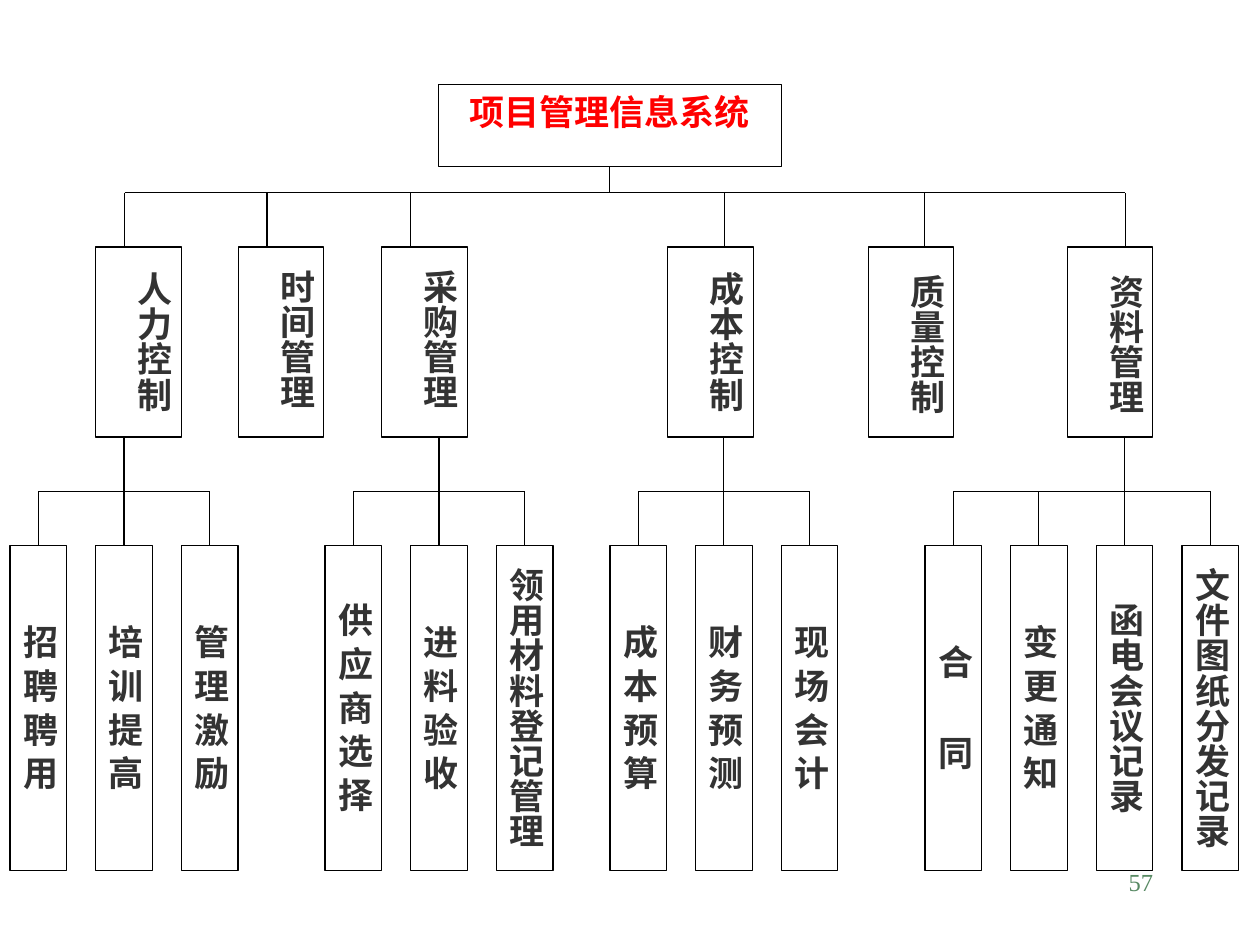
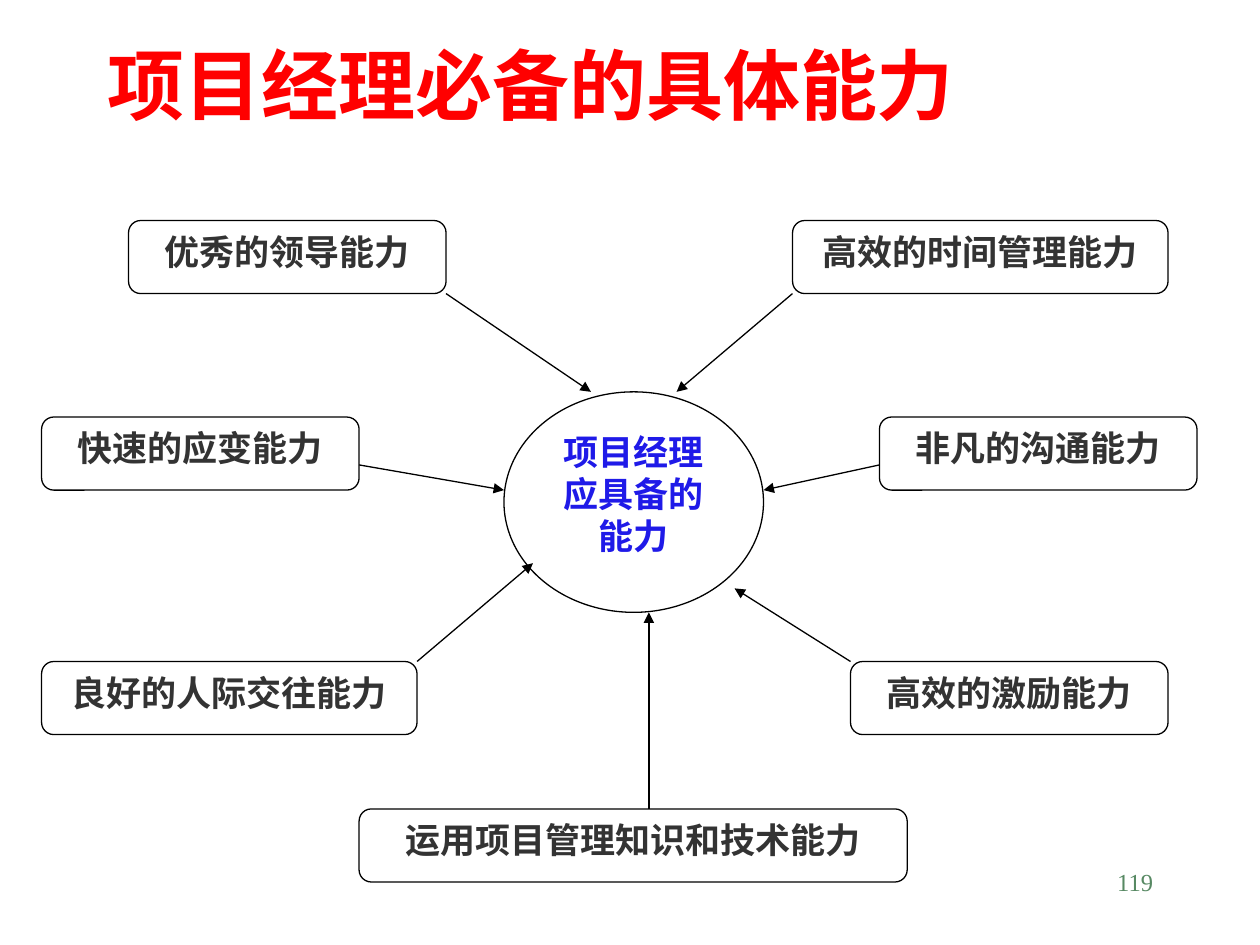
from lxml.etree import SubElement
from pptx import Presentation
from pptx.dml.color import RGBColor
from pptx.enum.shapes import MSO_CONNECTOR, MSO_SHAPE
from pptx.enum.text import MSO_ANCHOR, MSO_AUTO_SIZE, PP_ALIGN
from pptx.oxml.ns import qn
from pptx.util import Inches, Pt

# Shared look
LATIN, CJK = "Times New Roman", "Noto Sans CJK SC"
RED, BLUE, DARK, GREEN = "FF0000", "1F1AE8", "333333", "578963"
BLACK, WHITE = "000000", "FFFFFF"
TOP, BOTTOM = 0, 2
INSETS = (0.1, 0.05, 0.1, 0.05)
LABEL_SIZE, SPACE_SIZE, WIDE_GAP = 20, 5, 27

# Levels of the system chart
BUS_Y, BRANCH_Y, BRANCH_W, BRANCH_H = 1.53, 1.96, 0.68, 1.51
BRANCH_BOTTOM = BRANCH_Y + BRANCH_H
FORK_Y, LEAF_Y, LEAF_W, LEAF_H, LEAF_STEP = 3.9, 4.33, 0.45, 2.58, 0.68

# Name, left, line offset, text shift, first leaf's left, stem leaf, leaves
BRANCHES = [
    ("人力控制", 0.76, 0.23, 0, 0.08, 1,
     ["招 聘 聘 用", "培 训 提 高", "管 理 激 励"]),
    ("时间管理", 1.89, 0.23, -0.02, 0, 0, []),
    ("采购管理", 3.03, 0.23, -0.02, 2.58, 1,
     ["供 应 商 选 择", "进 料 验 收", "领用材料登记管理"]),
    ("成本控制", 5.3, 0.45, 0, 4.84, 1,
     ["成 本 预 算", "财 务 预 测", "现 场 会 计"]),
    ("质量控制", 6.89, 0.45, 0.02, 0, 0, []),
    ("资料管理", 8.47, 0.46, 0.02, 7.34, 2,
     ["合 同", "变 更 通 知", "函电会议记录", "文件图纸分发记录"]),
]

# Ability, left, top, width, arrow start, arrow end
ABILITIES = [
    ("优秀的领导能力", 1.02, 1.75, 2.52, (3.54, 2.33), (4.69, 3.11)),
    ("快速的应变能力", 0.33, 3.31, 2.52, (2.85, 3.69), (4, 3.89)),
    ("良好的人际交往能力", 0.33, 5.25, 2.98, (3.31, 5.25), (4.23, 4.47)),
    ("高效的时间管理能力", 6.29, 1.75, 2.98, (6.29, 2.33), (5.37, 3.11)),
    ("非凡的沟通能力", 6.98, 3.31, 2.52, (6.98, 3.69), (6.06, 3.89)),
    ("高效的激励能力", 6.75, 5.25, 2.52, (6.75, 5.25), (5.83, 4.67)),
    ("运用项目管理知识和技术能力", 2.85, 6.42, 4.35, (5.15, 6.42), (5.15, 4.86)),
]


def color(hex_string):
    return RGBColor.from_string(hex_string)


def add_run(paragraph, text, size, hex_string, bold=True, latin=LATIN):
    run = paragraph.add_run()
    run.text = text
    run.font.size = Pt(size)
    run.font.bold = bold
    run.font.color.rgb = color(hex_string)
    run.font.name = latin
    properties = run.font._element
    SubElement(properties, qn("a:ea")).set("typeface", CJK)
    return properties


def set_insets(frame, insets):
    frame.margin_left, frame.margin_top, frame.margin_right, frame.margin_bottom = (
        Inches(inset) for inset in insets)


def add_box(slide, kind, place, text, hex_string=DARK, insets=INSETS):
    box = slide.shapes.add_shape(kind, *(Inches(length) for length in place))
    box.shadow.inherit = False
    box.fill.solid()
    box.fill.fore_color.rgb = color(WHITE)
    box.line.color.rgb = color(BLACK)
    box.line.width = Pt(0.75)
    frame = box.text_frame
    frame.word_wrap = True
    frame.vertical_anchor = MSO_ANCHOR.TOP
    set_insets(frame, insets)
    paragraph = frame.paragraphs[0]
    paragraph.alignment = PP_ALIGN.CENTER
    paragraph.line_spacing = Pt(24)
    if text == "合 同":
        # Widen the gap between the two characters
        add_run(paragraph, "合", LABEL_SIZE, hex_string)
        add_run(paragraph, " ", LABEL_SIZE, hex_string).set("spc", str(WIDE_GAP * 100))
        add_run(paragraph, "同", LABEL_SIZE, hex_string)
    else:
        add_run(paragraph, text, LABEL_SIZE, hex_string)
    return box


def add_vertical_box(slide, place, text, shift=0):
    # Centre the column of characters by its length
    spaces = text.count(" ")
    points = (len(text) - spaces) * LABEL_SIZE + spaces * SPACE_SIZE
    if text == "合 同":
        points += WIDE_GAP
    top_inset = (place[3] - points / 72) / 2 + shift
    box = add_box(slide, MSO_SHAPE.RECTANGLE, place, text,
                  insets=(0.05, top_inset, 0.05, 0))
    box.text_frame._txBody.bodyPr.set("vert", "eaVert")
    return box


def add_line(slide, start, end, arrow=False):
    line = slide.shapes.add_connector(
        MSO_CONNECTOR.STRAIGHT, *(Inches(length) for length in (*start, *end)))
    line.line.color.rgb = color(BLACK)
    line.line.width = Pt(0.75)
    if arrow:
        SubElement(line.line._get_or_add_ln(), qn("a:tailEnd")).set("type", "triangle")
    SubElement(line._element.spPr, qn("a:effectLst"))
    return line


def add_page_number(slide, number):
    frame = slide.shapes.add_textbox(
        Inches(7.17), Inches(6.83), Inches(2.08), Inches(0.5)).text_frame
    frame.word_wrap = True
    paragraph = frame.paragraphs[0]
    paragraph.alignment = PP_ALIGN.RIGHT
    add_run(paragraph, number, 14, GREEN, bold=False)


def add_title(slide, text):
    title = slide.shapes.title
    title.left, title.top = Inches(0.75), Inches(0.33)
    title.width, title.height = Inches(8.5), Inches(0.67)
    frame = title.text_frame
    frame.auto_size = MSO_AUTO_SIZE.NONE
    frame.word_wrap = True
    frame.vertical_anchor = MSO_ANCHOR.MIDDLE
    paragraph = frame.paragraphs[0]
    paragraph.alignment = PP_ALIGN.LEFT
    add_run(paragraph, text, 44, RED, latin=CJK)


def add_leaves(slide, first_left, stem_index, names):
    centers = [first_left + i * LEAF_STEP + LEAF_W / 2 for i in range(len(names))]
    add_line(slide, (centers[0], FORK_Y), (centers[-1], FORK_Y))
    for i, (name, center) in enumerate(zip(names, centers)):
        leaf = add_vertical_box(
            slide, (center - LEAF_W / 2, LEAF_Y, LEAF_W, LEAF_H), name)
        drop_top = BRANCH_BOTTOM if i == stem_index else FORK_Y
        drop = add_line(slide, (center, drop_top), (center, LEAF_Y))
        drop.end_connect(leaf, TOP)


def build_system_slide(deck):
    slide = deck.slides.add_slide(deck.slide_layouts[6])
    # Root and the line across all branches
    root = add_box(slide, MSO_SHAPE.RECTANGLE, (3.48, 0.67, 2.72, 0.65),
                   "项目管理信息系统", RED)
    trunk = add_line(slide, (4.84, 1.32), (4.84, BUS_Y))
    trunk.begin_connect(root, BOTTOM)
    add_line(slide, (0.99, BUS_Y), (8.93, BUS_Y))
    # Branches with their leaves
    for name, left, offset, shift, first_left, stem, leaves in BRANCHES:
        add_vertical_box(slide, (left, BRANCH_Y, BRANCH_W, BRANCH_H), name, shift)
        add_line(slide, (left + offset, BUS_Y), (left + offset, BRANCH_Y))
        if leaves:
            add_leaves(slide, first_left, stem, leaves)
    add_page_number(slide, "57")


def build_ability_slide(deck):
    slide = deck.slides.add_slide(deck.slide_layouts[5])
    add_title(slide, "项目经理必备的具体能力")
    # Centre, then the abilities pointing at it
    add_box(slide, MSO_SHAPE.OVAL, (4, 3.11, 2.06, 1.75), "项目经理应具备的能力", BLUE)
    for name, left, top, width, start, end in ABILITIES:
        add_box(slide, MSO_SHAPE.FLOWCHART_ALTERNATE_PROCESS,
                (left, top, width, 0.58), name)
        add_line(slide, start, end, arrow=True)
    add_page_number(slide, "119")


def main():
    deck = Presentation()
    deck.slide_width, deck.slide_height = Inches(10), Inches(7.5)
    build_system_slide(deck)
    build_ability_slide(deck)
    deck.save("out.pptx")


if __name__ == "__main__":
    main()
